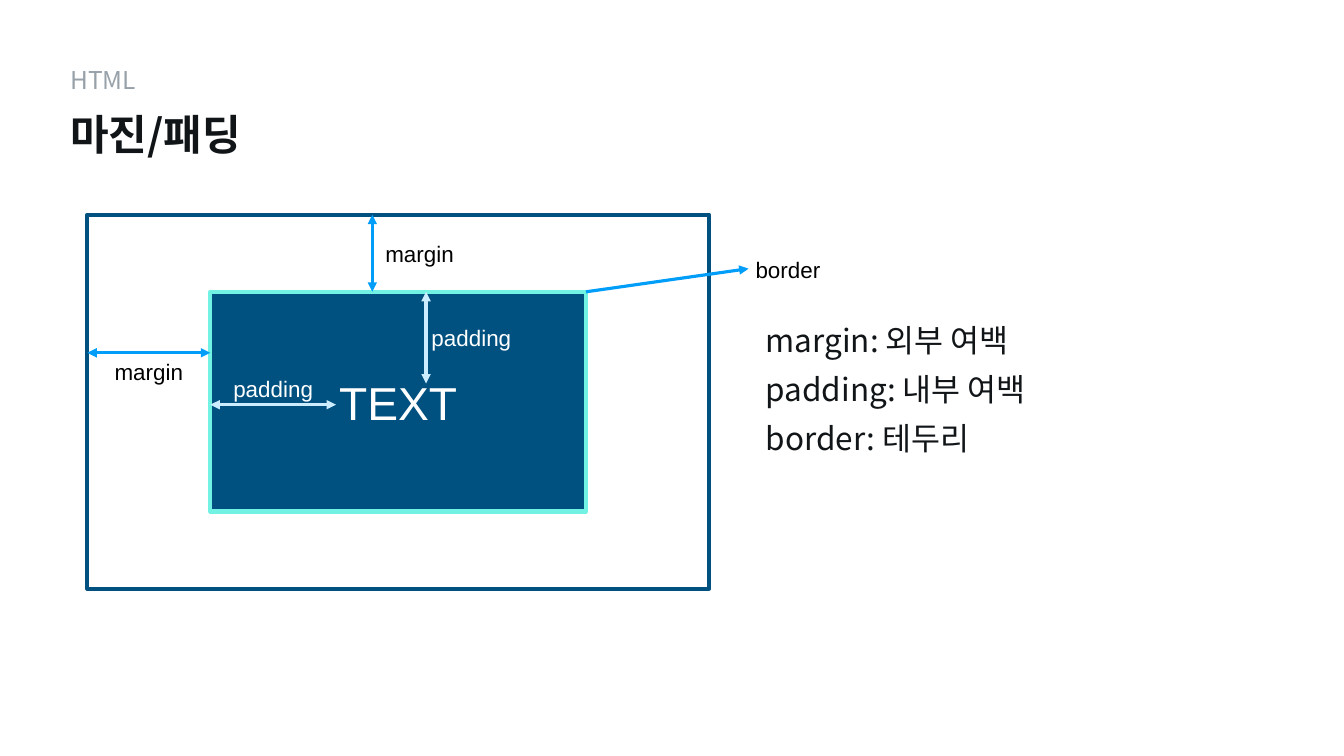
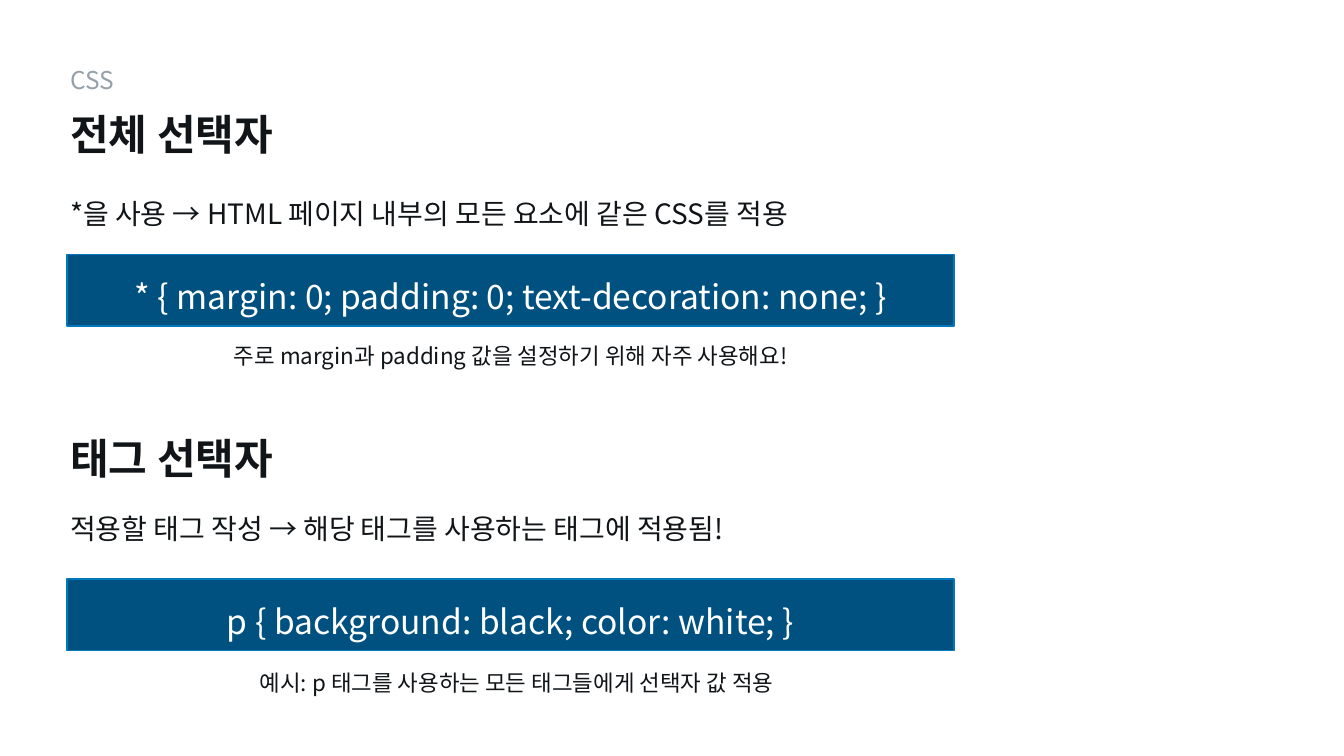
"""Build two slides on CSS margins, padding and selectors."""
from dataclasses import dataclass

from lxml.etree import SubElement
from pptx import Presentation
from pptx.dml.color import RGBColor
from pptx.enum.shapes import MSO_CONNECTOR, MSO_SHAPE
from pptx.enum.text import MSO_ANCHOR as Anchor, MSO_AUTO_SIZE, PP_ALIGN as Align
from pptx.oxml.ns import qn
from pptx.util import Inches, Pt

WIDTH, HEIGHT = 26.67, 15
COLUMNS, ROWS = 20, 15


@dataclass(frozen=True)
class Theme:
    """Colours, fonts and type sizes of both slides."""
    white: str = "FFFFFF"
    black: str = "000000"
    ink: str = "111518"
    grey: str = "97A1A9"
    navy: str = "005180"
    code_edge: str = "0078BD"
    mint: str = "72F2E3"
    blue: str = "009EF9"
    pale: str = "CCECFF"
    sans: str = "Noto Sans CJK KR"
    label_font: str = "Arial"
    topic: int = 35
    heading: int = 60
    lead: int = 40
    terms: int = 45
    code: int = 48
    small: int = 32
    sample: int = 66


THEME = Theme()
RGB = RGBColor.from_string


def col(count):
    """Return the width of a number of grid columns."""
    return Inches(WIDTH / COLUMNS * count)


def row(count):
    """Return the height of a number of grid rows."""
    return Inches(HEIGHT / ROWS * count)


def area(left, top, width, height):
    """Turn grid units into slide lengths."""
    return col(left), row(top), col(width), row(height)


def write(frame, lines, size, color, font=THEME.sans, align=Align.LEFT,
          anchor=Anchor.TOP, spacing=None, bold=False, inset=None):
    """Fill a text frame with paragraphs of one style."""
    frame.word_wrap = True
    frame.auto_size = MSO_AUTO_SIZE.NONE
    frame.vertical_anchor = anchor
    if inset is not None:
        frame.margin_left = frame.margin_right = Inches(inset)
        frame.margin_top = frame.margin_bottom = Inches(inset)
    frame.text = "\n".join(lines)
    for paragraph in frame.paragraphs:
        paragraph.alignment = align
        if spacing:
            paragraph.line_spacing = spacing
        style = paragraph.font
        style.size, style.bold, style.name = Pt(size), bold, font
        style.color.rgb = RGB(color)
        defaults = paragraph._p.pPr.find(qn("a:defRPr"))
        SubElement(defaults, qn("a:ea")).set("typeface", font)


def text(shapes, box, lines, size, color=THEME.ink, inset=0.06, **style):
    """Add a text box."""
    write(shapes.add_textbox(*area(*box)).text_frame, lines, size, color,
          inset=inset, **style)


def panel(shapes, box, fill, edge, edge_width):
    """Add an outlined rectangle and return it."""
    rectangle = shapes.add_shape(MSO_SHAPE.RECTANGLE, *area(*box))
    rectangle.shadow.inherit = False
    rectangle.fill.solid()
    rectangle.fill.fore_color.rgb = RGB(fill)
    rectangle.line.color.rgb = RGB(edge)
    rectangle.line.width = Pt(edge_width)
    return rectangle


def arrow(shapes, start, end, color, ends=("headEnd", "tailEnd")):
    """Add a straight arrow between two grid points."""
    connector = shapes.add_connector(
        MSO_CONNECTOR.STRAIGHT, col(start[0]), row(start[1]), col(end[0]), row(end[1]))
    connector.line.color.rgb = RGB(color)
    connector.line.width = Pt(4.5)
    properties = connector._element.spPr
    for end_name in ends:
        SubElement(properties.find(qn("a:ln")), qn(f"a:{end_name}")).set("type", "triangle")
    SubElement(properties, qn("a:effectLst"))


def label(shapes, left, top, word, color=THEME.black, align=Align.CENTER):
    """Name one part of the box model."""
    text(shapes, (left, top, LABEL_WIDTH, 0.64), [word], THEME.small, color,
         inset=None, font=THEME.label_font, align=align)


LABEL_WIDTH = 1.35
HEADING = dict(size=THEME.heading, color=THEME.ink, anchor=Anchor.MIDDLE,
               bold=True, inset=0.06)


def heading_box(top):
    """Return the grid box of a heading."""
    return 1, top, 8.64, 1.12


def new_slide(deck, topic, title):
    """Add a slide with its topic line and title."""
    slide = deck.slides.add_slide(deck.slide_layouts[5])
    heading = slide.shapes.title
    heading.left, heading.top, heading.width, heading.height = area(*heading_box(2.09))
    write(heading.text_frame, [title], **HEADING)
    text(slide.shapes, (1, 1.23, 4.38, 0.7), [topic], THEME.topic, THEME.grey,
         anchor=Anchor.MIDDLE)
    return slide.shapes


def box_model(shapes):
    """Draw the margin, border and padding diagram."""
    left, top, width, height = 1.3, 4.26, 9.25, 7.42
    margin_x, margin_y = 1.83, 1.53
    inner_left, inner_top = left + margin_x, top + margin_y
    inner_width, inner_height = width - 2 * margin_x, height - 2 * margin_y
    inner_right = inner_left + inner_width
    margin_at, padding_at = (5.54, 7), (6.34, 8.03)
    text_left, text_top = 5, 7.61

    panel(shapes, (left, top, width, height), THEME.white, THEME.navy, 6)
    content = panel(shapes, (inner_left, inner_top, inner_width, inner_height),
                    THEME.navy, THEME.mint, 6)
    write(content.text_frame, ["TEXT"], THEME.sample, THEME.white,
          font=THEME.label_font, align=Align.CENTER, anchor=Anchor.MIDDLE)

    arrow(shapes, (margin_at[0], top), (margin_at[0], inner_top), THEME.blue)
    arrow(shapes, (padding_at[0], inner_top), (padding_at[0], text_top), THEME.pale)
    arrow(shapes, (left, margin_at[1]), (inner_left, margin_at[1]), THEME.blue)
    arrow(shapes, (text_left, padding_at[1]), (inner_left, padding_at[1]), THEME.pale)
    arrow(shapes, (inner_right, inner_top), (11.14, 5.33), THEME.blue, ends=("tailEnd",))

    label(shapes, margin_at[0] + 0.12, 4.71, "margin", align=Align.LEFT)
    label(shapes, (left + inner_left - LABEL_WIDTH) / 2, 7.06, "margin")
    label(shapes, (inner_left + text_left - LABEL_WIDTH) / 2, 7.39, "padding", THEME.white)
    label(shapes, padding_at[0], 6.38, "padding", THEME.white)
    label(shapes, 11.05, 5.03, "border")


def selector(shapes, lead, code, note, lead_top, code_top, note_top, note_left=1):
    """Explain one selector: lead sentence, code bar and note."""
    bar_width = 13.2
    text(shapes, (1, lead_top, bar_width, 0.99), [lead], THEME.lead, spacing=1.3)
    bar = panel(shapes, (1, code_top, bar_width, 1.42), THEME.navy, THEME.code_edge, 2)
    write(bar.text_frame, [code], THEME.code, THEME.white, align=Align.CENTER,
          anchor=Anchor.MIDDLE, spacing=1.3)
    text(shapes, (note_left, note_top, bar_width, 0.81), [note], THEME.small,
         align=Align.CENTER, spacing=1.3)


def main():
    """Build and save the deck."""
    deck = Presentation()
    deck.slide_width, deck.slide_height = Inches(WIDTH), Inches(HEIGHT)

    margins = new_slide(deck, "HTML", "마진/패딩")
    text(margins, (11.35, 6.08, 4.79, 3.07),
         ["margin: 외부 여백", "padding: 내부 여백", "border: 테두리"],
         THEME.terms, spacing=1.3)
    box_model(margins.add_group_shape().shapes)

    selectors = new_slide(deck, "CSS", "전체 선택자")
    selector(selectors, "*을 사용 → HTML 페이지 내부의 모든 요소에 같은 CSS를 적용",
             "* { margin: 0; padding: 0; text-decoration: none; }",
             "주로 margin과 padding 값을 설정하기 위해 자주 사용해요!",
             lead_top=3.64, code_top=5.05, note_top=6.56)
    text(selectors, heading_box(8.52), ["태그 선택자"], **HEADING)
    selector(selectors, "적용할 태그 작성 → 해당 태그를 사용하는 태그에 적용됨!",
             "p { background: black; color: white; }",
             "예시: p 태그를 사용하는 모든 태그들에게 선택자 값 적용",
             lead_top=9.88, code_top=11.49, note_top=13.05, note_left=1.09)

    deck.save("out.pptx")


if __name__ == "__main__":
    main()
